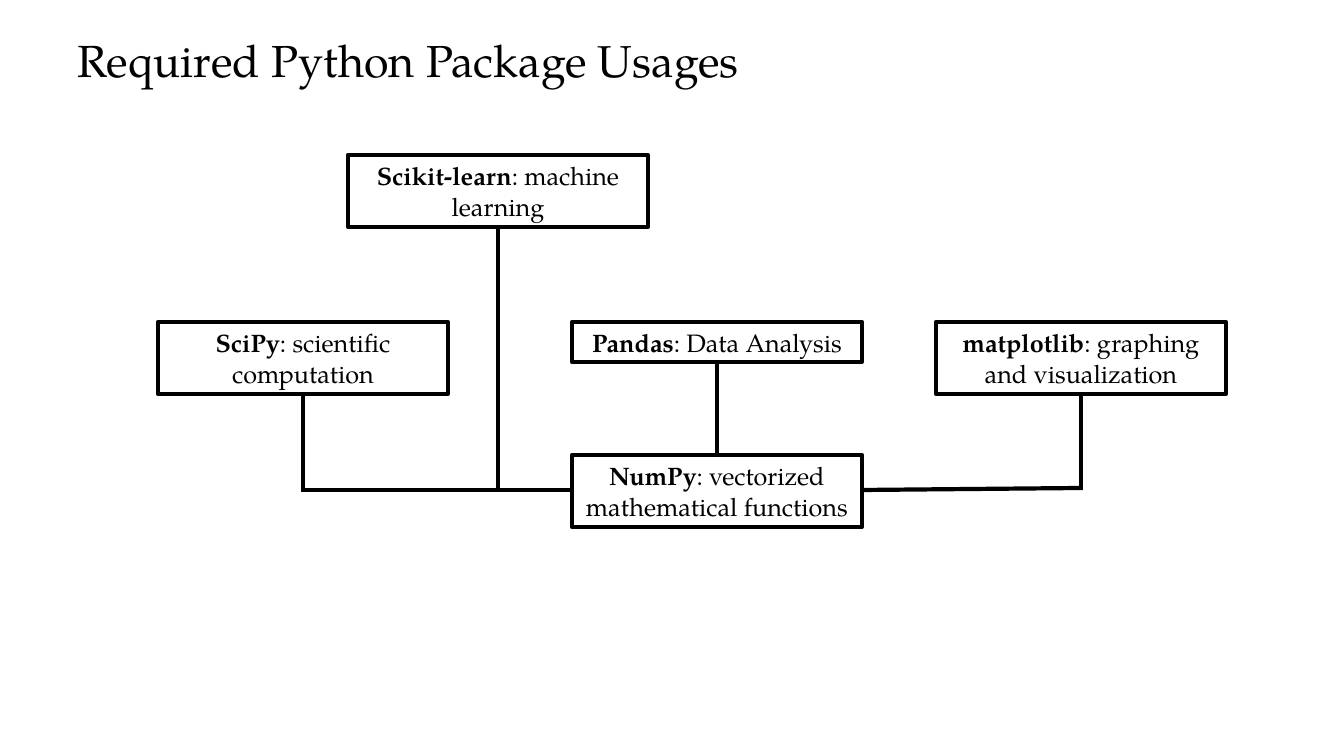
from pptx import Presentation
from pptx import util as u
from pptx.dml.color import RGBColor
from pptx.enum import shapes, text
from pptx.oxml.ns import qn
from lxml import etree

EMU_PER_PX = 914400 / 100.8
FONT = "TeX Gyre Pagella"
BLACK = RGBColor(0x00, 0x00, 0x00)
WHITE = RGBColor(0xFF, 0xFF, 0xFF)
LINE_WIDTH = u.Pt(3)
BOX_WIDTH = 290
TALL, SHORT = 72, 40


def px(*lengths):
    return [u.Emu(round(length * EMU_PER_PX)) for length in lengths]


def add_text(paragraph, words, size=18, bold=False):
    run = paragraph.add_run()
    run.text = words
    run.font.name = FONT
    run.font.size = u.Pt(size)
    run.font.bold = bold
    run.font.color.rgb = BLACK


def add_title(slide, words):
    title = slide.shapes.add_textbox(*px(68, 22, 1209, 101))
    frame = title.text_frame
    frame.word_wrap = True
    frame.vertical_anchor = text.MSO_ANCHOR.TOP
    frame.margin_top, frame.margin_bottom = px(10, 5)
    frame.paragraphs[0].line_spacing = 1.02
    add_text(frame.paragraphs[0], words, size=32)


def add_package(slide, package, usage, left, top, width=BOX_WIDTH, height=TALL):
    box = slide.shapes.add_shape(
        shapes.MSO_SHAPE.RECTANGLE, *px(left, top, width, height))
    box.shadow.inherit = False
    box.fill.solid()
    box.fill.fore_color.rgb = WHITE
    box.line.color.rgb = BLACK
    box.line.width = LINE_WIDTH
    frame = box.text_frame
    frame.word_wrap = True
    frame.auto_size = text.MSO_AUTO_SIZE.SHAPE_TO_FIT_TEXT
    label = frame.paragraphs[0]
    label.alignment = text.PP_ALIGN.CENTER
    add_text(label, package, bold=True)
    add_text(label, ": " + usage)


def add_link(slide, x1, y1, x2, y2):
    link = slide.shapes.add_connector(
        shapes.MSO_CONNECTOR.STRAIGHT, *px(x1, y1, x2, y2))
    link.line.color.rgb = BLACK
    link.line.width = LINE_WIDTH
    etree.SubElement(link._element.spPr, qn("a:effectLst"))


def main():
    deck = Presentation()
    deck.slide_width, deck.slide_height = px(1344, 756)
    slide = deck.slides.add_slide(deck.slide_layouts[6])

    add_title(slide, "Required Python Package Usages")

    # Packages
    scipy_left, numpy_left, matplotlib_left = 158, 572, 936
    scikit_top, middle_top, numpy_top = 155, 322, 455
    add_package(slide, "NumPy", "vectorized mathematical functions",
                numpy_left, numpy_top)
    add_package(slide, "SciPy", "scientific computation",
                scipy_left, middle_top)
    add_package(slide, "matplotlib", "graphing and visualization",
                matplotlib_left, middle_top)
    add_package(slide, "Pandas", "Data Analysis",
                numpy_left, middle_top, height=SHORT)
    add_package(slide, "Scikit-learn", "machine learning",
                348, scikit_top, width=300)

    # Dependencies on NumPy
    scipy_x, numpy_x, matplotlib_x = (
        left + BOX_WIDTH // 2
        for left in (scipy_left, numpy_left, matplotlib_left))
    scikit_x = 498
    left_y, right_y = 490, 488
    middle_bottom = middle_top + TALL - 1
    add_link(slide, scipy_x, left_y, scipy_x, middle_bottom)
    add_link(slide, numpy_x, numpy_top, numpy_x, middle_top + SHORT)
    add_link(slide, scipy_x - 2, left_y, numpy_left, left_y)
    add_link(slide, matplotlib_x, middle_bottom, matplotlib_x, right_y)
    add_link(slide, numpy_left + BOX_WIDTH, left_y, matplotlib_x + 2, right_y)
    add_link(slide, scikit_x, scikit_top + TALL, scikit_x, left_y)

    deck.save("out.pptx")


if __name__ == "__main__":
    main()
